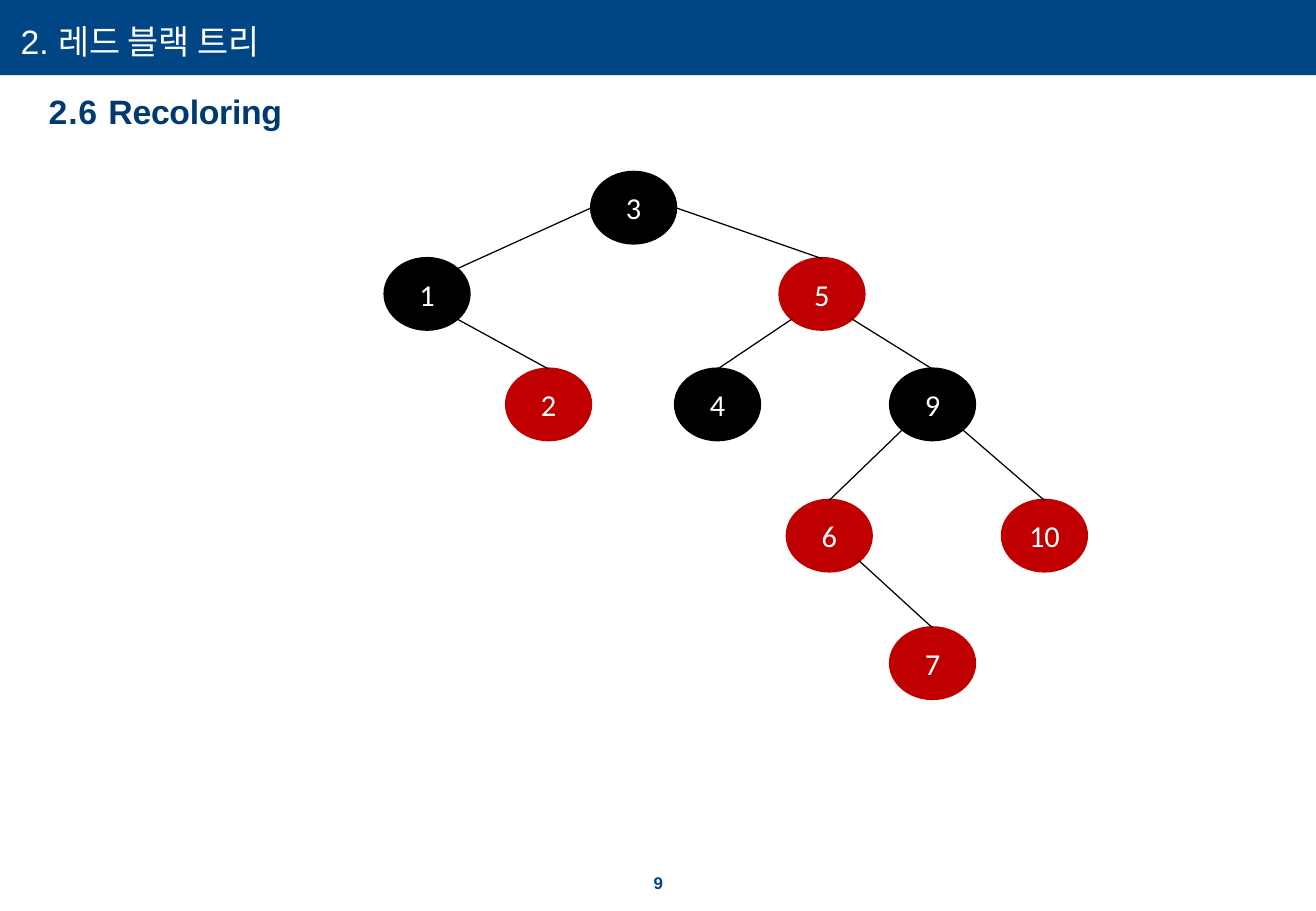
import math

import pptx
import pptx.dml.color
import pptx.enum.shapes
import pptx.enum.text
import pptx.oxml
import pptx.util

Pt = pptx.util.Pt
WIDTH, HEIGHT = 779.76, 540
NAVY, DARK_NAVY, WHITE = "004685", "003A70", "FFFFFF"
BLACK, RED = "000000", "C00000"

# Tree geometry, relative to the top left of the tree
NODE_WIDTH, NODE_HEIGHT = 49.7, 41.8
LEVEL_TOPS = [0, 51.1, 116.6, 194.4, 270]
NODES = {  # key: (left, level, colour)
    3: (122.4, 0, BLACK),
    1: (0, 1, BLACK),
    5: (234, 1, RED),
    2: (72, 2, RED),
    4: (172.1, 2, BLACK),
    9: (299.5, 2, BLACK),
    6: (238.3, 3, RED),
    10: (365.8, 3, RED),
    7: (299.5, 4, RED),
}
# Parent, child, and the angles at which the edge meets each ellipse
EDGES = [
    (3, 1, 180, -45), (3, 5, 0, -90), (1, 2, 45, -90), (5, 4, 135, -90),
    (5, 9, 45, -90), (9, 6, 135, -90), (9, 10, 45, -90), (6, 7, 45, -90),
]


def colour(value):
    return pptx.dml.color.RGBColor.from_string(value)


def add_text(slide, box, runs, size, text_colour, bold=False):
    """Add one line made of (text, letter spacing in points) runs."""
    text_box = slide.shapes.add_textbox(*map(Pt, box))
    frame = text_box.text_frame
    frame.word_wrap = True
    frame.auto_size = pptx.enum.text.MSO_AUTO_SIZE.SHAPE_TO_FIT_TEXT
    frame.margin_left = frame.margin_right = 0
    frame.margin_top = frame.margin_bottom = 0
    paragraph = frame.paragraphs[0]
    for text, spacing in runs:
        run = paragraph.add_run()
        run.text = text
        run.font.name = "Arial"
        run.font.size = Pt(size)
        run.font.bold = bold
        run.font.color.rgb = colour(text_colour)
        if spacing:
            run._r.get_or_add_rPr().set("spc", str(round(spacing * 100)))
    return paragraph


def add_header(slide, left, top, width, height):
    banner = slide.shapes.add_shape(
        pptx.enum.shapes.MSO_SHAPE.RECTANGLE, *map(Pt, (left, top, width, height)))
    banner.shadow.inherit = False
    banner.fill.solid()
    banner.fill.fore_color.rgb = colour(NAVY)
    banner.line.fill.background()
    add_text(slide, (left + 12.2, top + 12.2, 386.6, 24.5),
             [("2. 레드 블랙 트리", 0)], 20, WHITE)
    add_text(slide, (left + 28.8, top + 54, 475.9, 24.5),
             [("2.6 ", 0.5), ("Recoloring", -0.2)], 20, DARK_NAVY, True)


def add_node(slide, left, top, key, fill):
    node = slide.shapes.add_shape(
        pptx.enum.shapes.MSO_SHAPE.OVAL,
        *map(Pt, (left, top, NODE_WIDTH, NODE_HEIGHT)))
    node.name = f"Node {key}"
    node.shadow.inherit = False
    node.fill.solid()
    node.fill.fore_color.rgb = colour(fill)
    node.line.color.rgb = colour(fill)
    node.line.width = Pt(2)
    frame = node.text_frame
    frame.text = str(key)
    frame.vertical_anchor = pptx.enum.text.MSO_ANCHOR.MIDDLE
    paragraph = frame.paragraphs[0]
    paragraph.alignment = pptx.enum.text.PP_ALIGN.CENTER
    font = paragraph.runs[0].font
    font.name = "Calibri"
    font.size = Pt(18)
    font.color.rgb = colour(WHITE)


def add_edge(slide, start, end):
    edge = slide.shapes.add_connector(
        pptx.enum.shapes.MSO_CONNECTOR.STRAIGHT, *map(Pt, start + end))
    edge.line.color.rgb = colour(BLACK)
    edge.line.width = Pt(0.75)
    properties = edge._element.spPr
    properties.append(pptx.oxml.parse_xml(
        '<a:effectLst xmlns:a="http://schemas.openxmlformats.org/drawingml/2006/main"/>'))


def add_tree(slide, left, top):
    def rim_point(key, angle):
        node_left, level, _ = NODES[key]
        radians = math.radians(angle)
        return (left + node_left + NODE_WIDTH / 2 * (1 + math.cos(radians)),
                top + LEVEL_TOPS[level] + NODE_HEIGHT / 2 * (1 + math.sin(radians)))

    for key, (node_left, level, fill) in NODES.items():
        add_node(slide, left + node_left, top + LEVEL_TOPS[level], key, fill)
    for parent, child, parent_angle, child_angle in EDGES:
        add_edge(slide, rim_point(parent, parent_angle), rim_point(child, child_angle))


def add_page_number(slide, left, top, width, height):
    paragraph = add_text(slide, (left, top, width, height), [("9", 0.5)], 10, NAVY, True)
    paragraph.line_spacing = Pt(10.9)
    paragraph._p.get_or_add_pPr().set("marL", str(Pt(5)))


def main():
    presentation = pptx.Presentation()
    presentation.slide_width = Pt(WIDTH)
    presentation.slide_height = Pt(HEIGHT)
    slide = presentation.slides.add_slide(presentation.slide_layouts[6])
    add_header(slide, 0, 0, WIDTH, 44.6)
    add_tree(slide, 228.2, 102.2)
    add_page_number(slide, 382.3, 518.4, 15.8, 10.9)
    presentation.save("out.pptx")


if __name__ == "__main__":
    main()
